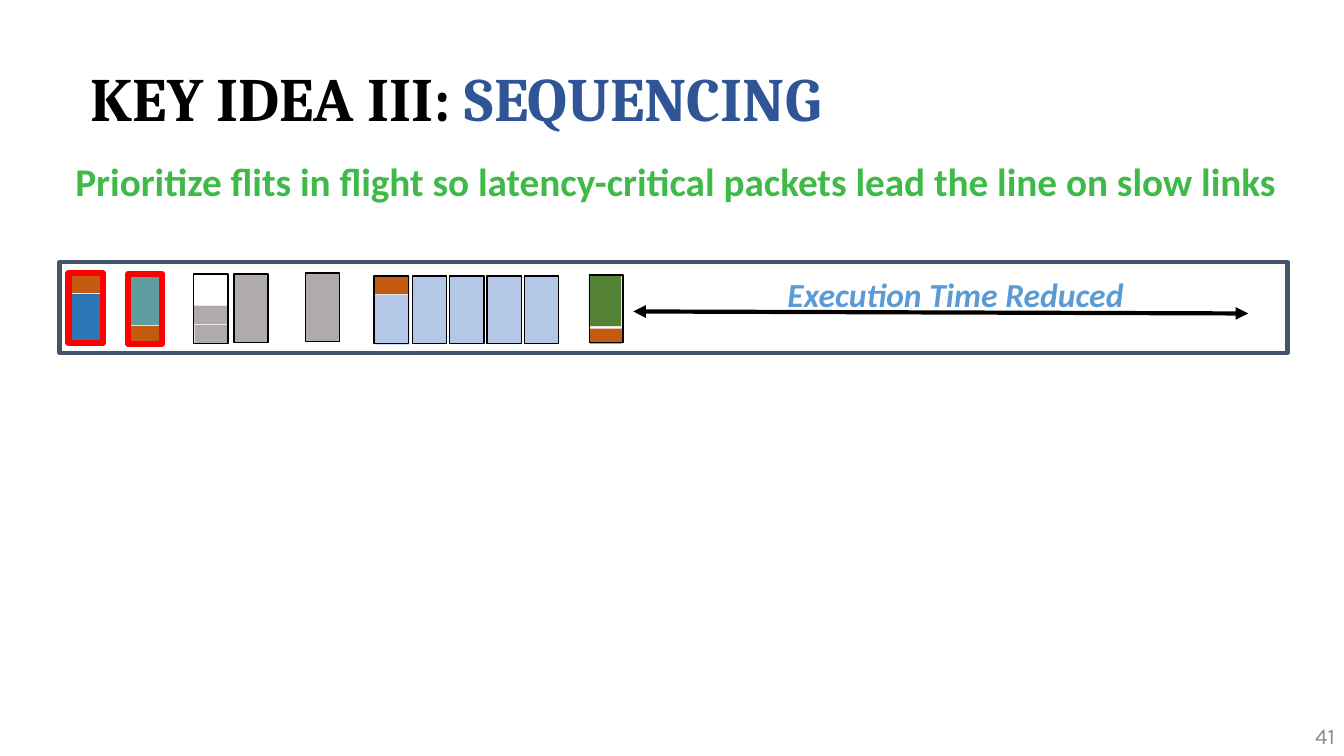
from lxml import etree
from pptx import Presentation
from pptx.dml.color import RGBColor as RGB
from pptx.enum.shapes import MSO_CONNECTOR as Conn, MSO_SHAPE as Shape
from pptx.enum.text import MSO_ANCHOR as Anchor, PP_ALIGN as Align
from pptx.oxml.ns import qn
from pptx.util import Inches, Pt

BLACK = RGB(0x00, 0x00, 0x00)
NAVY = RGB(0x2F, 0x55, 0x97)
SLATE = RGB(0x44, 0x54, 0x6A)
SKY = RGB(0x5B, 0x9B, 0xD5)
LIME = RGB(0x3F, 0xBA, 0x48)
DIM = RGB(0x8C, 0x8C, 0x8C)
GRAY = RGB(0xAF, 0xAB, 0xAB)
PALE = RGB(0xE7, 0xE6, 0xE6)
ICE = RGB(0xB4, 0xC7, 0xE7)
RUST = RGB(0xC5, 0x5A, 0x11)
GREEN = RGB(0x54, 0x82, 0x35)
BLUE = RGB(0x2E, 0x75, 0xB6)
TEAL = RGB(0x5F, 0x9E, 0xA0)
RED = RGB(0xFF, 0x00, 0x00)

# Each packet lists its flits: left, top, width, height, fill, line, line width
STEP = 0.37
PACKETS = [
    [(1.93, 3.22, 0.33, 0.19, GRAY, None, 0),
     (2.32, 2.72, 0.34, 0.68, GRAY, BLACK, 1),
     (1.92, 3.03, 0.34, 0.19, GRAY, PALE, 1),
     (1.92, 2.72, 0.34, 0.69, None, BLACK, 1)],
    [(3.72, 2.92, 0.34, 0.5, ICE, None, 0),
     *[(4.09 + i * STEP, 2.74, 0.34, 0.67, ICE, BLACK, 1) for i in range(4)],
     (3.71, 2.74, 0.35, 0.18, RUST, PALE, 1),
     (3.71, 2.74, 0.34, 0.67, None, BLACK, 1)],
    [(5.85, 3.26, 0.32, 0.15, RUST, None, 0),
     (5.84, 2.73, 0.33, 0.51, GREEN, PALE, 1),
     (5.85, 2.73, 0.33, 0.67, None, BLACK, 1)],
    [(0.68, 2.91, 0.33, 0.5, BLUE, None, 0),
     (0.69, 2.73, 0.33, 0.18, RUST, PALE, 1),
     (0.69, 2.73, 0.33, 0.68, None, BLACK, 1),
     (0.68, 2.71, 0.34, 0.69, None, RED, 4.5)],
    [(1.29, 3.23, 0.33, 0.19, RUST, None, 0),
     (1.28, 2.73, 0.34, 0.5, TEAL, PALE, 1),
     (1.29, 2.73, 0.33, 0.68, None, BLACK, 1),
     (1.27, 2.72, 0.34, 0.69, None, RED, 4.5)],
]


def style(item, values):
    for name, value in values.items():
        setattr(item, name, value)


def add_run(para, text, color, **values):
    run = para.add_run()
    run.text = text
    style(run.font, values)
    run.font.color.rgb = color


def add_box(shapes, left, top, width, height, fill, line, weight):
    box = shapes.add_shape(Shape.RECTANGLE, Inches(left), Inches(top),
                           Inches(width), Inches(height))
    box.shadow.inherit = False
    if fill is None:
        box.fill.background()
    else:
        box.fill.solid()
        box.fill.fore_color.rgb = fill
    if line is None:
        box.line.fill.background()
    else:
        box.line.color.rgb = line
        box.line.width = Pt(weight)


def add_text(slide, left, top, width, height, text, color, font,
             frame={}, para={}):
    box = slide.shapes.add_textbox(Inches(left), Inches(top),
                                   Inches(width), Inches(height))
    style(box.text_frame, {"word_wrap": True, **frame})
    first = box.text_frame.paragraphs[0]
    style(first, para)
    add_run(first, text, color, **font)


def add_arrow(slide, x1, y1, x2, y2):
    arrow = slide.shapes.add_connector(Conn.STRAIGHT, Inches(x1), Inches(y1),
                                       Inches(x2), Inches(y2))
    arrow.line.color.rgb = BLACK
    arrow.line.width = Pt(3)
    line = arrow.line._get_or_add_ln()
    for end in ("a:headEnd", "a:tailEnd"):
        etree.SubElement(line, qn(end), type="triangle")
    etree.SubElement(arrow._element.spPr, qn("a:effectLst"))


def set_title(slide):
    title = slide.shapes.title
    style(title, {"left": Inches(0.8), "top": Inches(0.28),
                  "width": Inches(10.62), "height": Inches(1.45)})
    title.text_frame.vertical_anchor = Anchor.MIDDLE
    para = title.text_frame.paragraphs[0]
    style(para, {"alignment": Align.LEFT, "line_spacing": 0.9})
    font = {"size": Pt(44), "name": "Cambria", "bold": True}
    add_run(para, "KEY IDEA III: ", BLACK, **font)
    add_run(para, "SEQUENCING", NAVY, **font)


def main():
    prs = Presentation()
    prs.slide_width, prs.slide_height = Inches(13.33), Inches(7.5)
    slide = prs.slides.add_slide(prs.slide_layouts[5])
    set_title(slide)

    # Link with its packets
    add_box(slide.shapes, 3.03, 2.71, 0.34, 0.68, GRAY, BLACK, 1)
    add_box(slide.shapes, 0.59, 2.6, 12.18, 0.9, None, SLATE, 3)
    for packet in PACKETS:
        group = slide.shapes.add_group_shape()
        for flit in packet:
            add_box(group.shapes, *flit)

    # Time saved
    add_text(slide, 7.81, 2.72, 3.44, 0.4, "Execution Time Reduced", SKY,
             {"size": Pt(24), "name": "Calibri", "bold": True, "italic": True},
             {"word_wrap": False, "margin_left": 0, "margin_right": 0,
              "margin_top": 0, "margin_bottom": 0})
    add_arrow(slide, 6.28, 3.09, 12.38, 3.11)

    # Page number and subtitle
    add_text(slide, 10.34, 7.1, 3, 0.4, "41", DIM,
             {"size": Pt(16), "name": "Karla"},
             {"vertical_anchor": Anchor.MIDDLE}, {"alignment": Align.RIGHT})
    add_text(slide, 0.65, 1.56, 12.68, 0.66,
             "Prioritize flits in flight so latency-critical packets "
             "lead the line on slow links", LIME,
             {"size": Pt(28), "name": "Calibri", "bold": True},
             para={"line_spacing": 0.9})
    prs.save("out.pptx")


if __name__ == "__main__":
    main()
